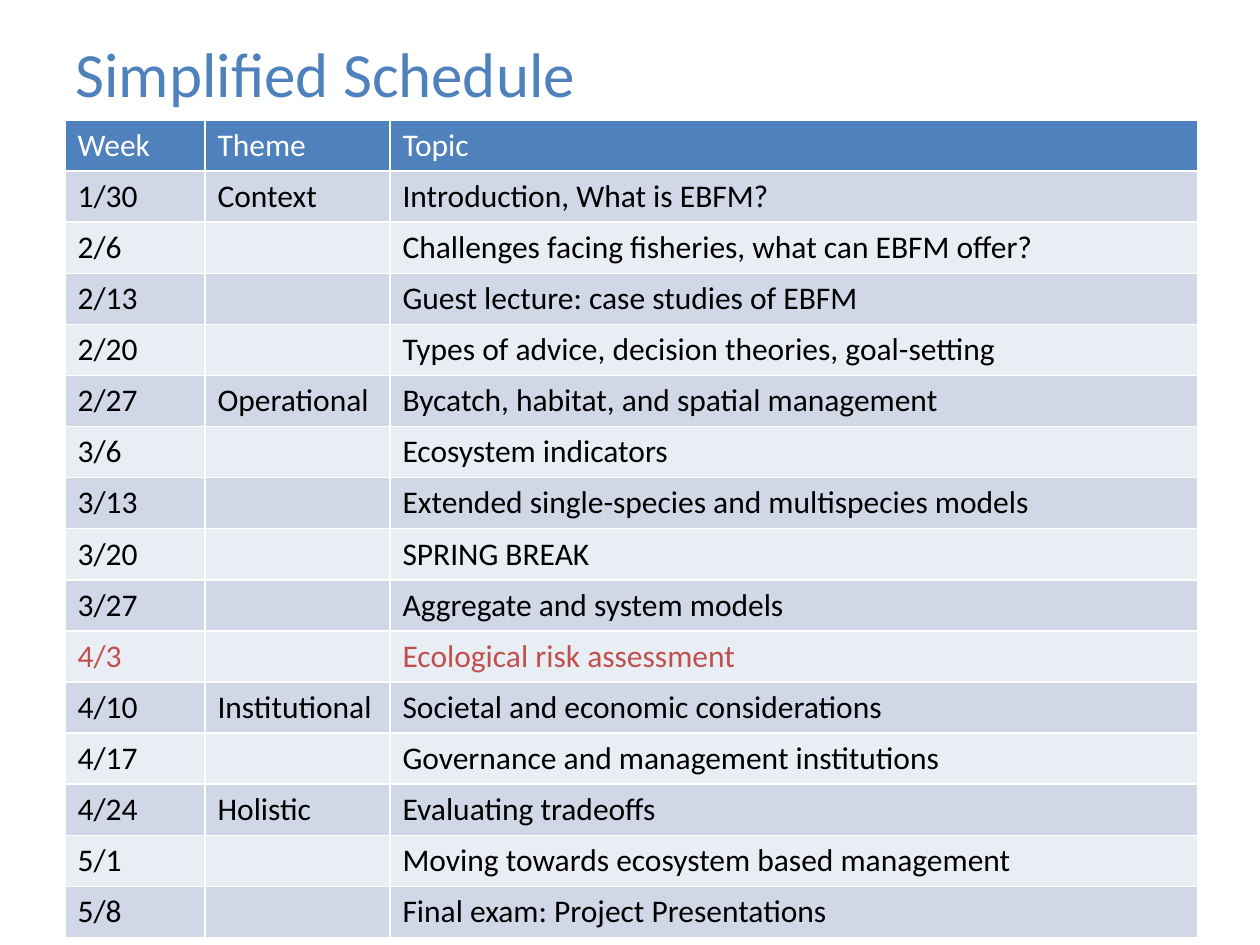
from pptx import Presentation
from pptx.dml.color import RGBColor
from pptx.enum.text import MSO_VERTICAL_ANCHOR as Anchor, PP_PARAGRAPH_ALIGNMENT as Align
from pptx.util import Emu, Pt

COLORS = {
    "accent": "4F81BD",
    "header_text": "FFFFFF",
    "text": "000000",
    "highlight": "C0504D",
    "odd_row": "D0D8E8",
    "even_row": "E9EDF4",
}
HEADER = ("Week", "Theme", "Topic")
SCHEDULE = [
    ("1/30", "Context", "Introduction, What is EBFM?"),
    ("2/6", "", "Challenges facing fisheries, what can EBFM offer?"),
    ("2/13", "", "Guest lecture: case studies of EBFM"),
    ("2/20", "", "Types of advice, decision theories, goal-setting"),
    ("2/27", "Operational", "Bycatch, habitat, and spatial management"),
    ("3/6", "", "Ecosystem indicators"),
    ("3/13", "", "Extended single-species and multispecies models"),
    ("3/20", "", "SPRING BREAK"),
    ("3/27", "", "Aggregate and system models"),
    ("4/3", "", "Ecological risk assessment"),
    ("4/10", "Institutional", "Societal and economic considerations"),
    ("4/17", "", "Governance and management institutions"),
    ("4/24", "Holistic", "Evaluating tradeoffs"),
    ("5/1", "", "Moving towards ecosystem based management"),
    ("5/8", "", "Final exam: Project Presentations"),
]
HIGHLIGHTED_WEEK = "4/3"


def px(length):
    """Turn whole pixels into EMU."""
    return Emu(round(length * 914400 / 126))


class SlideBuilder:
    """Hold the style and the current slide."""

    font_name = "Calibri"

    def __init__(self, slide):
        """Keep the slide to draw on."""
        self.slide = slide

    def style(self, paragraph, size, color):
        """Set the font of a paragraph."""
        font = paragraph.font
        font.name = self.font_name
        font.size = Pt(size)
        font.color.rgb = RGBColor.from_string(COLORS[color])

    def title(self, text, left, top, width, height):
        """Fill and place the title placeholder."""
        shape = self.slide.shapes.title
        shape.left, shape.top = px(left), px(top)
        shape.width, shape.height = px(width), px(height)
        frame = shape.text_frame
        frame.text = text
        frame.vertical_anchor = Anchor.MIDDLE
        paragraph = frame.paragraphs[0]
        paragraph.alignment = Align.LEFT
        self.style(paragraph, 36, "accent")

    def cell(self, cell, text, fill, color):
        """Fill one table cell."""
        cell.text = text
        cell.fill.solid()
        cell.fill.fore_color.rgb = RGBColor.from_string(COLORS[fill])
        self.style(cell.text_frame.paragraphs[0], 18, color)

    def table(self, rows, left, top, column_widths, row_height):
        """Add a table with a header row and banded rows."""
        table = self.slide.shapes.add_table(
            len(rows), len(column_widths), px(left), px(top),
            px(sum(column_widths)), px(row_height * len(rows))).table
        for column, width in zip(table.columns, column_widths):
            column.width = px(width)
        for index, values in enumerate(rows):
            table.rows[index].height = px(row_height)
            if index == 0:
                fill, color = "accent", "header_text"
            else:
                fill = "odd_row" if index % 2 else "even_row"
                color = "highlight" if values[0] == HIGHLIGHTED_WEEK else "text"
            for cell, text in zip(table.rows[index].cells, values):
                self.cell(cell, text, fill, color)


def main():
    """Build and save the schedule slide."""
    presentation = Presentation()
    presentation.slide_width, presentation.slide_height = px(1260), px(945)
    slide = presentation.slides.add_slide(presentation.slide_layouts[5])
    builder = SlideBuilder(slide)
    builder.title("Simplified Schedule", 63, 25, 1134, 95)
    builder.table([HEADER, *SCHEDULE], 65, 120, (140, 185, 808), 51)
    presentation.save("out.pptx")


if __name__ == "__main__":
    main()
